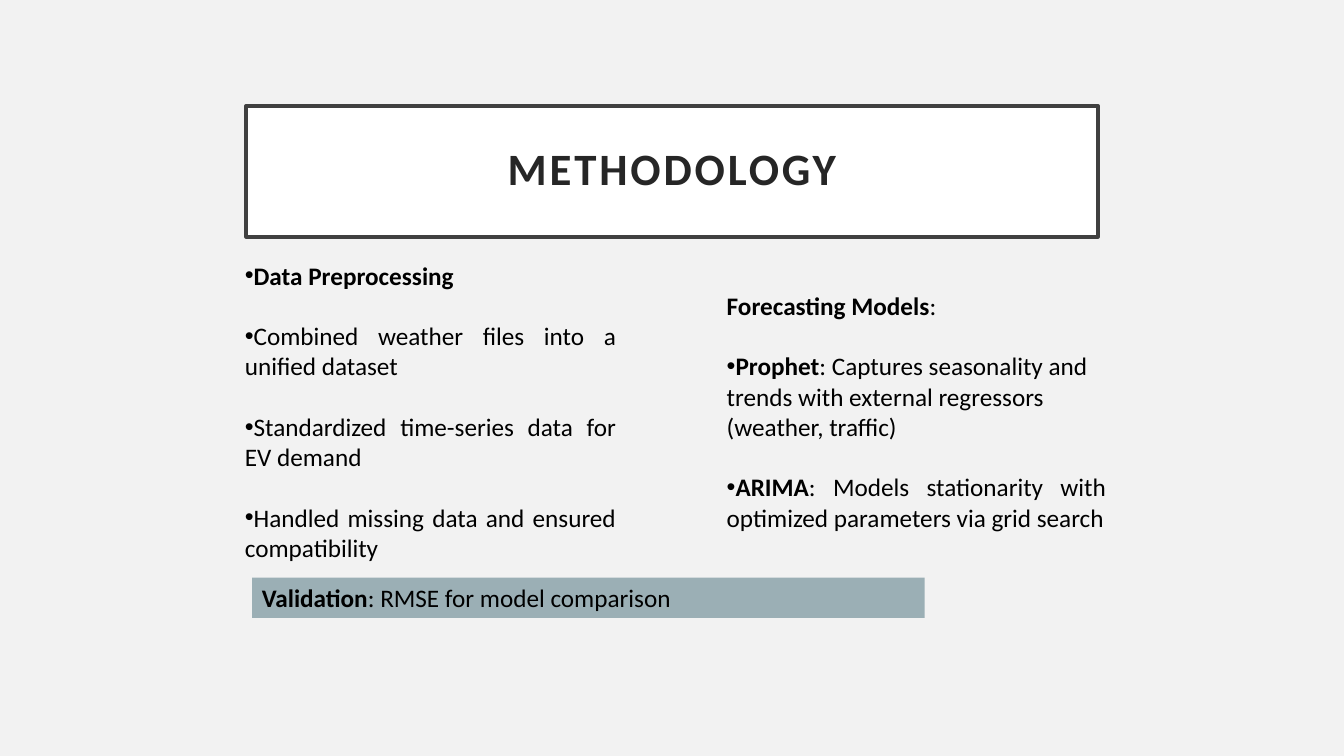
from dataclasses import dataclass

from lxml.etree import SubElement
from pptx import Presentation
from pptx.dml.color import RGBColor
from pptx.enum.shapes import MSO_SHAPE
from pptx.enum.text import MSO_ANCHOR as Anchor, PP_ALIGN as Align
from pptx.oxml.ns import qn
from pptx.shapes.autoshape import Shape
from pptx.slide import Slide
from pptx.text.text import TextFrame
from pptx.util import Inches, Pt

COLORS = {
    "background": "F2F2F2",
    "title_fill": "FFFFFF",
    "title_line": "404040",
    "title_text": "262626",
    "text": "000000",
    "bar": "9BAFB5",
}
FONT = "Calibri"
LINE_GAP = 21.6


@dataclass(frozen=True)
class Item:
    bold: str = ""
    plain: str = ""
    bullet: bool = True
    align: Align = Align.JUSTIFY


@dataclass(frozen=True)
class Column:
    left: float
    top: float
    width: float
    height: float
    items: tuple[Item, ...]


COLUMNS = (
    Column(2.33, 2.5, 3.88, 3.43, (
        Item("Data Preprocessing"),
        Item(plain="Combined weather files into a unified dataset"),
        Item(plain="Standardized time-series data for EV demand"),
        Item(plain="Handled missing data and ensured compatibility"),
    )),
    Column(7.11, 2.8, 3.96, 2.83, (
        Item("Forecasting Models", ":", bullet=False, align=Align.LEFT),
        Item("Prophet", ": Captures seasonality and trends with external "
             "regressors (weather, traffic)", align=Align.LEFT),
        Item("ARIMA", ": Models stationarity with optimized parameters "
             "via grid search"),
    )),
)
VALIDATION = Item("Validation", ": RMSE for model comparison",
                  bullet=False, align=Align.LEFT)


def rgb(name: str) -> RGBColor:
    return RGBColor.from_string(COLORS[name])


def add_text(tf: TextFrame, bold: str = "", plain: str = "", *,
             first: bool = True, bullet: bool = False,
             align: Align = Align.LEFT, size: float = 18,
             color: str = "text", gap: float = 0,
             line_spacing: float = 1.0, tracking: float = 0) -> None:
    p = tf.paragraphs[0] if first else tf.add_paragraph()
    p.alignment = align
    p.line_spacing = line_spacing
    p.space_before = Pt(0 if first else gap)
    if bullet:
        pPr = p._p.get_or_add_pPr()
        SubElement(pPr, qn("a:buFont"), typeface="Arial")
        SubElement(pPr, qn("a:buChar"), char="•")
    for text, is_bold in ((bold, True), (plain, False)):
        if not text:
            continue
        r = p.add_run()
        r.text = text
        r.font.name = FONT
        r.font.size = Pt(size)
        r.font.bold = is_bold
        r.font.color.rgb = rgb(color)
        if tracking:
            r._r.get_or_add_rPr().set("spc", str(round(tracking * 100)))


def add_title(s: Slide) -> None:
    sp = s.shapes.title
    sp.left, sp.top = Inches(2.44), Inches(1.05)
    sp.width, sp.height = Inches(8.45), Inches(1.3)
    sp.fill.solid()
    sp.fill.fore_color.rgb = rgb("title_fill")
    sp.line.color.rgb = rgb("title_line")
    sp.line.width = Pt(2.5)
    tf = sp.text_frame
    tf.word_wrap = True
    tf.vertical_anchor = Anchor.MIDDLE
    tf.margin_left = tf.margin_right = Inches(0.2)
    tf.margin_top = tf.margin_bottom = Inches(0.2)
    add_text(tf, "METHODOLOGY", align=Align.CENTER, size=32,
             color="title_text", line_spacing=0.9, tracking=2)


def add_column(s: Slide, column: Column) -> Shape:
    sp = s.shapes.add_textbox(Inches(column.left), Inches(column.top),
                              Inches(column.width), Inches(column.height))
    tf = sp.text_frame
    tf.word_wrap = True
    tf.margin_top = Inches(0.08)
    for i, item in enumerate(column.items):
        add_text(tf, item.bold, item.plain, first=i == 0,
                 bullet=item.bullet, align=item.align, gap=LINE_GAP)
    return sp


def add_bar(s: Slide, item: Item) -> Shape:
    sp = s.shapes.add_shape(MSO_SHAPE.RECTANGLE, Inches(2.5), Inches(5.73),
                            Inches(6.67), Inches(0.4))
    sp.shadow.inherit = False
    sp.fill.solid()
    sp.fill.fore_color.rgb = rgb("bar")
    sp.line.fill.background()
    tf = sp.text_frame
    tf.word_wrap = True
    tf.vertical_anchor = Anchor.TOP
    add_text(tf, item.bold, item.plain, align=item.align)
    return sp


def main() -> None:
    prs = Presentation()
    prs.slide_width, prs.slide_height = Inches(13.33), Inches(7.5)
    s = prs.slides.add_slide(prs.slide_layouts[5])
    s.background.fill.solid()
    s.background.fill.fore_color.rgb = rgb("background")
    add_title(s)
    for column in COLUMNS:
        add_column(s, column)
    add_bar(s, VALIDATION)
    prs.save("out.pptx")


if __name__ == "__main__":
    main()
